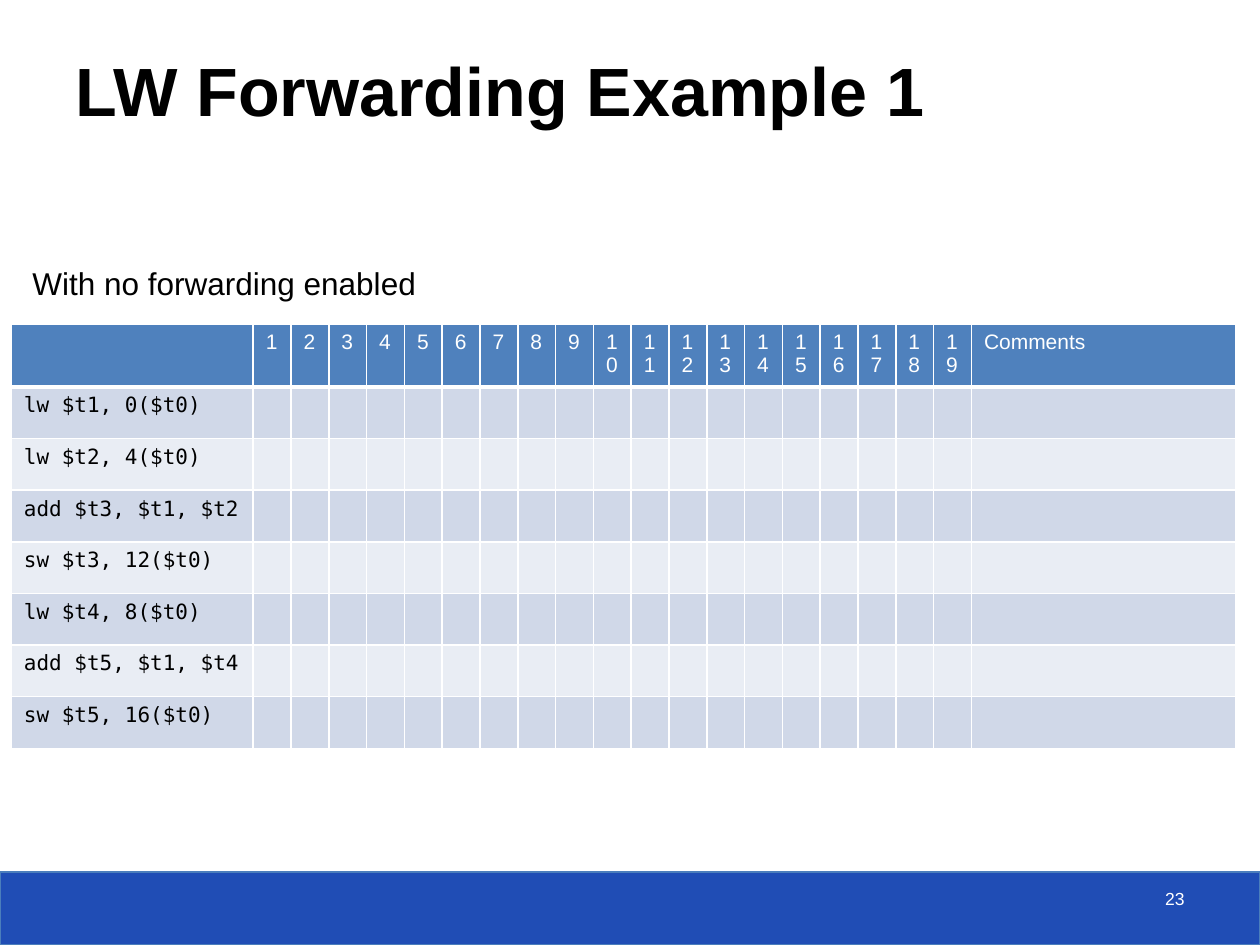
"""Build the LW forwarding slide with its empty pipeline timing table."""
from lxml import etree
from pptx import Presentation, util as u
from pptx.dml.color import RGBColor
from pptx.enum import shapes, text
from pptx.oxml.ns import qn

COLORS = {"white": "FFFFFF", "black": "000000", "footer": "204DB5", "edge": "4B7EBC",
          "header": "4F81BD", "odd": "D0D8E8", "even": "E9EDF4"}
TITLE = "LW Forwarding Example 1"
CAPTION = "With no forwarding enabled"
PAGE = "23"
CYCLES = 19
CODE = ["lw $t1, 0($t0)", "lw $t2, 4($t0)", "add $t3, $t1, $t2", "sw $t3, 12($t0)",
        "lw $t4, 8($t0)", "add $t5, $t1, $t4", "sw $t5, 16($t0)"]
HEADER = [""] + [str(n + 1) for n in range(CYCLES)] + ["Comments"]
ROWS = [HEADER] + [[line] + [""] * (len(HEADER) - 1) for line in CODE]
WIDTHS = [1.92] + [0.3] * CYCLES + [2.1]
ROW_HEIGHT = 0.41


def rgb(name):
    return RGBColor.from_string(COLORS[name])


def box(at):
    return [u.Inches(v) for v in at]


def write(tf, words, size, color, name="Arial", bold=False, align=None):
    p = tf.paragraphs[0]
    p.alignment = align
    r = p.add_run()
    r.text = words
    for key, value in {"size": u.Pt(size), "name": name, "bold": bold}.items():
        setattr(r.font, key, value)
    r.font.color.rgb = rgb(color)


def add_text(s, at, words, size, color, wrap=True, anchor=text.MSO_ANCHOR.TOP, **style):
    sp = s.shapes.add_textbox(*box(at))
    tf = sp.text_frame
    tf.word_wrap = wrap
    tf.vertical_anchor = anchor
    write(tf, words, size, color, **style)
    return sp


def add_borders(cell, bottom):
    tc_pr = cell._tc.get_or_add_tcPr()
    for side, width in {"L": 1, "R": 1, "T": 1, "B": bottom}.items():
        ln = etree.SubElement(tc_pr, qn(f"a:ln{side}"), w=str(u.Pt(width)))
        fill = etree.SubElement(ln, qn("a:solidFill"))
        etree.SubElement(fill, qn("a:srgbClr"), val=COLORS["white"])


def add_timing_table(s):
    at = (0.09, 2.57, sum(WIDTHS), ROW_HEIGHT * len(ROWS))
    table = s.shapes.add_table(len(ROWS), len(HEADER), *box(at)).table
    for column, width in zip(table.columns, WIDTHS):
        column.width = u.Inches(width)
    for i, row in enumerate(ROWS):
        table.rows[i].height = u.Inches(ROW_HEIGHT)
        band = "header" if i == 0 else ("even", "odd")[i % 2]
        for j, words in enumerate(row):
            cell = table.cell(i, j)
            add_borders(cell, 3 if i == 0 else 1)
            cell.fill.solid()
            cell.fill.fore_color.rgb = rgb(band)
            if not words:
                cell.text_frame.paragraphs[0].font.size = u.Pt(12)
            elif i == 0:
                write(cell.text_frame, words, 12, "white")
            else:
                write(cell.text_frame, words, 12, "black", "DejaVu Sans Mono")


def main():
    prs = Presentation()
    prs.slide_width, prs.slide_height = u.Inches(10), u.Inches(7.5)
    s = prs.slides.add_slide(prs.slide_layouts[6])

    footer = s.shapes.add_shape(shapes.MSO_SHAPE.RECTANGLE, *box((0, 6.92, 10, 0.58)))
    footer.shadow.inherit = False
    footer.fill.solid()
    footer.fill.fore_color.rgb = rgb("footer")
    footer.line.color.rgb = rgb("edge")
    footer.line.width = u.Pt(0.75)
    add_text(s, (7.17, 7, 2.33, 0.33), PAGE, 10, "white", align=text.PP_ALIGN.RIGHT)

    add_timing_table(s)
    caption = add_text(s, (0.16, 2.05, 3.27, 0.4), CAPTION, 18, "black", wrap=False)
    caption.text_frame.auto_size = text.MSO_AUTO_SIZE.SHAPE_TO_FIT_TEXT

    title = add_text(s, (0.5, 0.25, 9.29, 0.83), TITLE, 39, "black",
                     anchor=text.MSO_ANCHOR.BOTTOM, bold=True)
    title.fill.solid()
    title.fill.fore_color.rgb = rgb("white")
    color = title._element.spPr.find(qn("a:solidFill"))[0]
    etree.SubElement(color, qn("a:alpha"), val="70000")

    prs.save("out.pptx")


if __name__ == "__main__":
    main()
